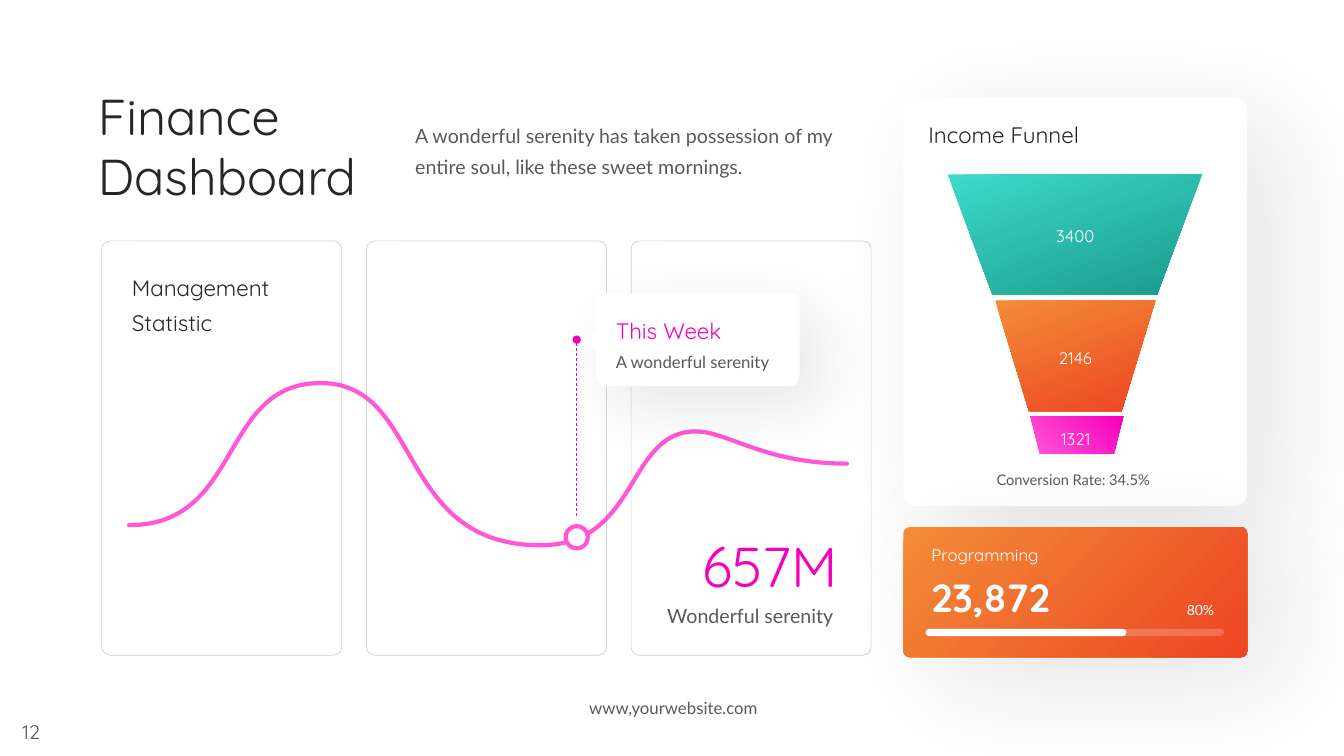
from lxml import etree
from pptx import Presentation
from pptx.dml.color import RGBColor
from pptx.enum.dml import MSO_LINE
from pptx.enum.shapes import MSO_CONNECTOR, MSO_SHAPE
from pptx.enum.text import MSO_ANCHOR, MSO_AUTO_SIZE, PP_ALIGN
from pptx.oxml.ns import qn
from pptx.util import Inches, Pt

ROUNDED = MSO_SHAPE.ROUNDED_RECTANGLE
LEFT, CENTER, RIGHT = PP_ALIGN.LEFT, PP_ALIGN.CENTER, PP_ALIGN.RIGHT
TOP, BOTTOM = MSO_ANCHOR.TOP, MSO_ANCHOR.BOTTOM
FIT = MSO_AUTO_SIZE.SHAPE_TO_FIT_TEXT
DARK, GREY, WHITE = "262626", "595959", "FFFFFF"
MAGENTA, PINK = "F500BD", "FF57D7"
TEAL_FADE = ("3EDAC8", "1A9A8B")
ORANGE_FADE = ("F38C37", "ED4523")
HEAD, BODY = "Quicksand", "Lato"


def style(sp, fill=None, angle=0, alpha=100, line=None, width=0.5, shadow=None):
    sp.shadow.inherit = False
    if fill is None:
        sp.fill.background()
    elif isinstance(fill, tuple):
        sp.fill.gradient()
        sp.fill.gradient_angle = (360 - angle) % 360
        for position, (stop, color) in enumerate(zip(sp.fill.gradient_stops, fill)):
            stop.position = position
            stop.color.rgb = RGBColor.from_string(color)
    else:
        sp.fill.solid()
        sp.fill.fore_color.rgb = RGBColor.from_string(fill)
    if line is None:
        sp.line.fill.background()
    else:
        sp.line.color.rgb = RGBColor.from_string(line)
        sp.line.width = Pt(width)
    if alpha < 100:
        color = next(sp.element.spPr.iter(qn("a:srgbClr")))
        etree.SubElement(color, qn("a:alpha"), val=str(alpha * 1000))
    if shadow:
        blur, distance, direction = shadow
        effects = sp.element.spPr.find(qn("a:effectLst"))
        outer = etree.SubElement(
            effects, qn("a:outerShdw"), blurRad=str(Pt(blur)),
            dist=str(Pt(distance)), dir=str(direction * 60000),
            algn="ctr", rotWithShape="0")
        color = etree.SubElement(outer, qn("a:srgbClr"), val="000000")
        etree.SubElement(color, qn("a:alpha"), val="10000")


def draw_path(start, segments, close):
    builder = s.shapes.build_freeform(Inches(start[0]), Inches(start[1]))
    ends = [(Inches(segment[-2]), Inches(segment[-1])) for segment in segments]
    builder.add_line_segments(ends, close=close)
    sp = builder.convert_to_shape()
    edges = list(sp.element.spPr.iter(qn("a:lnTo")))
    for edge, segment in zip(edges, segments):
        if len(segment) == 6:
            curve = etree.Element(qn("a:cubicBezTo"))
            for x, y in zip(segment[::2], segment[1::2]):
                etree.SubElement(curve, qn("a:pt"), x=str(Inches(x) - sp.left),
                                 y=str(Inches(y) - sp.top))
            edge.getparent().replace(edge, curve)
    return sp


prs = Presentation()
prs.slide_width, prs.slide_height = Inches(13.33), Inches(7.5)
s = prs.slides.add_slide(prs.slide_layouts[5])

title = s.shapes.title
title.left, title.top, title.width, title.height = map(Inches, (0.87, 0.79, 3.24, 1.31))
tf = title.text_frame
tf.text = "Finance Dashboard"
tf.word_wrap = True
tf.auto_size = FIT
tf.vertical_anchor = TOP
p = tf.paragraphs[0]
p.alignment = LEFT
font = p.runs[0].font
font.name, font.size = HEAD, Pt(36)
font.color.rgb = RGBColor.from_string(DARK)

for i in range(3):
    panel = s.shapes.add_shape(
        ROUNDED, Inches(1.01 + i * 2.625), Inches(2.39), Inches(2.38), Inches(4.11))
    panel.adjustments[0] = 0.034
    style(panel, line="A6A6A6", alpha=50)

trend = draw_path((1.28, 5.21), [
    (2.41, 5.21, 2.17, 3.8, 3.18, 3.8),
    (4.2, 3.8, 3.92, 5.41, 5.36, 5.41),
    (6.34, 5.41, 6.21, 4.28, 6.9, 4.28),
    (7.22, 4.28, 7.58, 4.6, 8.4, 4.6)], close=False)
style(trend, line=PINK, width=3)
trend.element.spPr.find(qn("a:ln")).set("cap", "rnd")

marker = s.shapes.add_shape(
    MSO_SHAPE.OVAL, Inches(5.61), Inches(5.22), Inches(0.22), Inches(0.22))
style(marker, WHITE, line=PINK, width=3)

pointer = s.shapes.add_connector(
    MSO_CONNECTOR.STRAIGHT, Inches(5.72), Inches(3.37), Inches(5.72), Inches(5.13))
pointer.line.color.rgb = RGBColor.from_string(MAGENTA)
pointer.line.width = Pt(0.5)
pointer.line.dash_style = MSO_LINE.DASH
etree.SubElement(pointer.element.spPr.find(qn("a:ln")), qn("a:headEnd"), type="oval")
etree.SubElement(pointer.element.spPr, qn("a:effectLst"))

callout = draw_path((6.01, 2.91), [
    (7.84, 2.91), (7.89, 2.91, 7.93, 2.95, 7.93, 3),
    (7.93, 3.73), (7.93, 3.78, 7.89, 3.83, 7.84, 3.83),
    (6.01, 3.83), (5.96, 3.83, 5.91, 3.78, 5.91, 3.73),
    (5.91, 3.47), (5.83, 3.37), (5.91, 3.27),
    (5.91, 3), (5.91, 2.95, 5.96, 2.91, 6.01, 2.91)], close=True)
style(callout, WHITE, shadow=(50, 20, 45))

for top, height, radius, fill in [(0.97, 4.05, 0.038, WHITE), (5.23, 1.29, 0.047, ORANGE_FADE)]:
    card = s.shapes.add_shape(ROUNDED, Inches(8.96), Inches(top), Inches(3.41), Inches(height))
    card.adjustments[0] = radius
    style(card, fill, angle=45, shadow=(80, 30, 35))

for left, top, width, height, slant, fill, angle in [
    (9.4, 1.73, 2.52, 1.19, 0.372, TEAL_FADE, 290),
    (9.87, 2.98, 1.59, 1.1, 0.305, ORANGE_FADE, 290),
    (10.22, 4.13, 0.92, 0.37, 0.25, (PINK, MAGENTA), 45),
]:
    stage = s.shapes.add_shape(
        MSO_SHAPE.TRAPEZOID, Inches(left), Inches(top), Inches(width), Inches(height))
    stage.adjustments[0] = slant
    stage.element.spPr.xfrm.set("flipV", "1")
    style(stage, fill, angle=angle)

for left, width, alpha in [(9.33, 2.81, 20), (9.18, 1.99, 100)]:
    bar = s.shapes.add_shape(ROUNDED, Inches(left), Inches(6.24), Inches(width), Inches(0.07))
    bar.adjustments[0] = 0.5
    style(bar, WHITE, alpha=alpha)

for text, left, top, width, height, name, size, color, align, spacing in [
    ("12", 0, 7.09, 0.62, 0.34, HEAD, 14, GREY, CENTER, 1),
    ("A wonderful serenity has taken possession of my entire soul, like these sweet mornings.",
     4.02, 1.11, 4.56, 0.68, BODY, 14, GREY, LEFT, 1.3),
    ("Management\vStatistic", 1.21, 2.59, 2.08, 0.77, HEAD, 16, DARK, LEFT, 1.3),
    ("A wonderful serenity", 6.01, 3.38, 1.83, 0.34, BODY, 12, GREY, LEFT, 1.3),
    ("This Week", 6.01, 3.02, 1.83, 0.42, HEAD, 16, MAGENTA, LEFT, 1.3),
    ("657M", 6.47, 5.02, 1.94, 0.89, HEAD, 40, MAGENTA, RIGHT, 1.3),
    ("Wonderful serenity ", 6.47, 5.87, 1.94, 0.38, BODY, 14, GREY, RIGHT, 1.3),
    ("www,yourwebsite.com", 5.46, 6.87, 2.44, 0.3, BODY, 12, GREY, CENTER, 1),
    ("Income Funnel", 9.11, 1.07, 1.74, 0.44, HEAD, 16, DARK, LEFT, 1.3),
    ("3400", 10.33, 2.13, 0.67, 0.38, HEAD, 12, WHITE, CENTER, 1.3),
    ("2146", 10.33, 3.34, 0.67, 0.38, HEAD, 12, WHITE, CENTER, 1.3),
    ("1321", 10.41, 4.14, 0.52, 0.36, HEAD, 12, WHITE, CENTER, 1.3),
    ("Conversion Rate: 34.5%", 9.33, 4.57, 2.63, 0.31, BODY, 10.5, GREY, CENTER, 1.3),
    ("Programming", 9.14, 5.3, 1.49, 0.27, HEAD, 12, WHITE, LEFT, 1.3),
    ("23,872", 9.14, 5.5, 1.81, 0.52, HEAD, 28, WHITE, LEFT, 1.3),
    ("80%", 11.63, 5.94, 0.51, 0.24, BODY, 10, WHITE, RIGHT, 1.3),
]:
    box = s.shapes.add_textbox(Inches(left), Inches(top), Inches(width), Inches(height))
    tf = box.text_frame
    tf.word_wrap = True
    tf.auto_size = FIT
    tf.vertical_anchor = BOTTOM if text == "80%" else TOP
    p = tf.paragraphs[0]
    p.text = text
    p.alignment = align
    p.line_spacing = spacing
    p.space_after = Pt(6 if spacing > 1 else 0)
    for r in p.runs:
        r.font.name, r.font.size = name, Pt(size)
        r.font.bold = text == "23,872"
        r.font.color.rgb = RGBColor.from_string(color)

prs.save("out.pptx")
